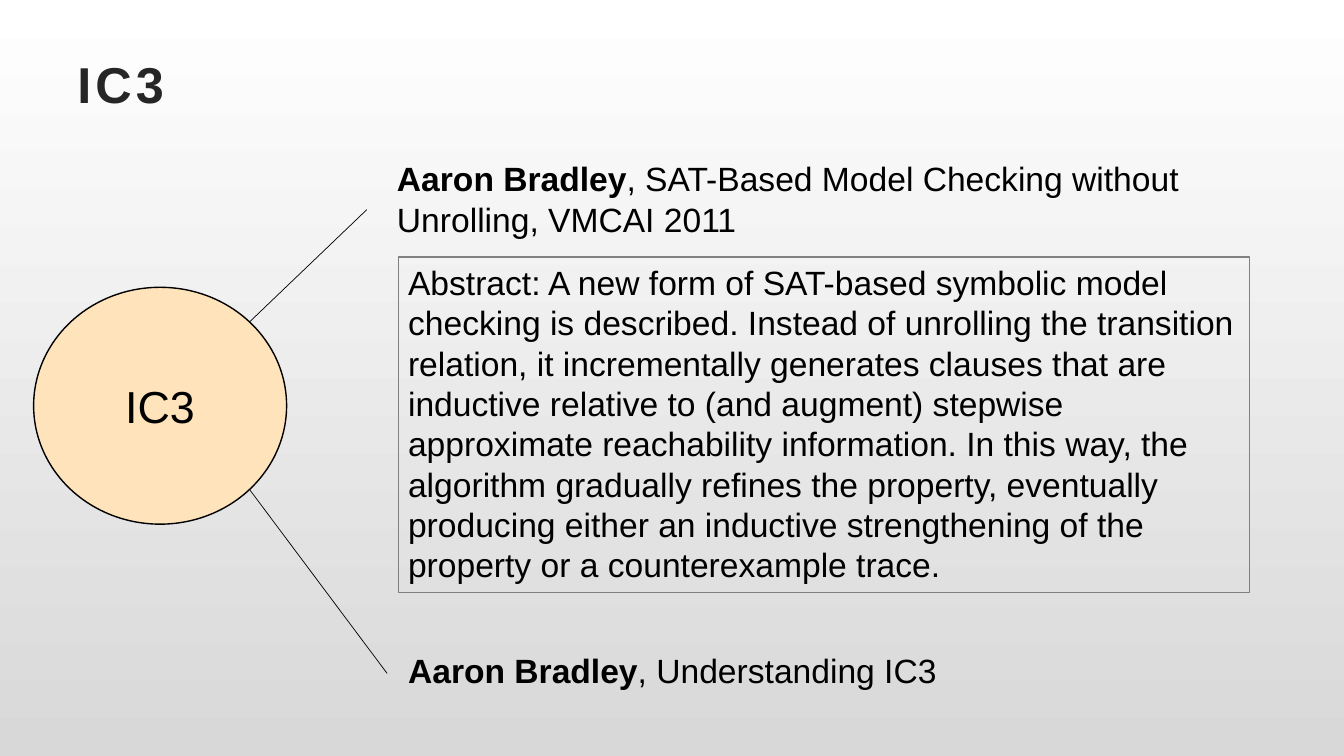
"""Build the IC3 slide: a topic circle linked to two papers and an abstract."""
import math
import pptx
import pptx.chart.data
import pptx.dml.color
import pptx.enum.shapes
import pptx.enum.text
import pptx.util
from lxml import etree

Pt = pptx.util.Pt
ALIGN = pptx.enum.text.PP_ALIGN
MID = pptx.enum.text.MSO_ANCHOR.MIDDLE
KIND = pptx.enum.shapes.MSO_SHAPE

TOPIC = "IC3"
TITLE = (48, 32, 864, 55.4)
CIRCLE = (24, 205.2, 180.7, 169.2)
PAPERS = [
    {"author": "Aaron Bradley",
     "work": ", SAT-Based Model Checking without Unrolling, VMCAI 2011",
     "box": (276.5, 109.4, 616.3, 65.5), "end": (262, 149.8), "turn": -45},
    {"author": "Aaron Bradley", "work": ", Understanding IC3",
     "box": (284.4, 460.8, 572.4, 36), "end": (276.5, 481), "turn": 45},
]
ABSTRACT = (
    "Abstract: A new form of SAT-based symbolic model checking is described. "
    "Instead of unrolling the transition relation, it incrementally generates "
    "clauses that are inductive relative to (and augment) stepwise approximate "
    "reachability information. In this way, the algorithm gradually refines the "
    "property, eventually producing either an inductive strengthening of the "
    "property or a counterexample trace.")
FRAME = (284.4, 183.6, 608.4, 239.8)
SHADES = ["FFFFFF", "D8D8D8"]


def paint(color, code):
    color.rgb = pptx.dml.color.RGBColor.from_string(code)


def place(box):
    return [Pt(v) for v in box]


def style(run, size, code="000000", bold=False):
    run.font.name, run.font.size, run.font.bold = "Arial", Pt(size), bold
    paint(run.font.color, code)


def edge(line, code, width):
    paint(line.color, code)
    line.width = Pt(width)


def write(shape, parts, size, align=ALIGN.LEFT, code="000000"):
    frame = shape.text_frame
    frame.word_wrap = True
    para = frame.paragraphs[0]
    para.alignment = align
    for text, bold in parts:
        run = para.add_run()
        run.text = text
        style(run, size, code, bold)
    return para


def outline(kind, box, code, width):
    shape = slide.shapes.add_shape(kind, *place(box))
    shape.shadow.inherit = False
    shape.fill.background()
    edge(shape.line, code, width)
    return shape


def link(start, end):
    line = slide.shapes.add_connector(
        pptx.enum.shapes.MSO_CONNECTOR.STRAIGHT, *place(start + end))
    edge(line.line, "000000", 0.5)
    props = line._element.spPr
    etree.SubElement(props, pptx.oxml.ns.qn("a:effectLst"))


def rim(turn):
    left, top, wide, high = CIRCLE
    angle = math.radians(turn)
    return (left + wide / 2 * (1 + math.cos(angle)),
            top + high / 2 * (1 + math.sin(angle)))


deck = pptx.Presentation()
deck.slide_width, deck.slide_height = Pt(960), Pt(540)
slide = deck.slides.add_slide(deck.slide_layouts[5])

back = slide.background.fill
back.gradient()
back.gradient_angle = 270
for stop, code in zip(back.gradient_stops, SHADES):
    paint(stop.color, code)

title = slide.shapes.title
title.left, title.top, title.width, title.height = place(TITLE)
title.text_frame.vertical_anchor = MID
head = write(title, [(TOPIC, True)], 36, code="262626")
head.runs[0]._r.get_or_add_rPr().set("spc", "300")

circle = outline(KIND.OVAL, CIRCLE, "000000", 1)
circle.fill.solid()
paint(circle.fill.fore_color, "FFE3BB")
circle.text_frame.vertical_anchor = MID
write(circle, [(TOPIC, False)], 32, ALIGN.CENTER)

for paper in PAPERS:
    link(rim(paper["turn"]), paper["end"])
    note = slide.shapes.add_textbox(*place(paper["box"]))
    write(note, [(paper["author"], True), (paper["work"], False)], 24)

panel = outline(KIND.RECTANGLE, FRAME, "808080", 0.75)
panel.text_frame.vertical_anchor = pptx.enum.text.MSO_ANCHOR.TOP
write(panel, [(ABSTRACT, False)], 24)

deck.save("out.pptx")
